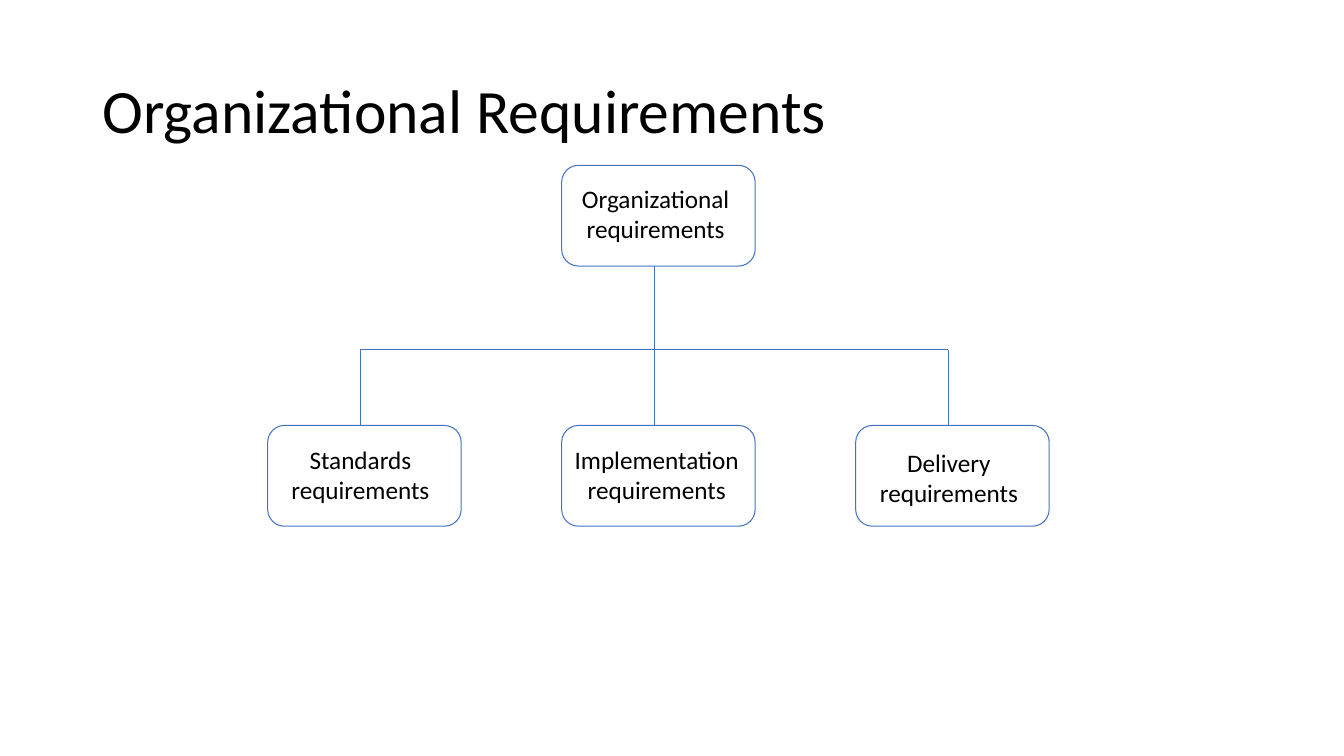
import pptx
import pptx.dml.color
import pptx.enum.shapes
import pptx.enum.text
import pptx.oxml.ns
import pptx.util
from lxml import etree

Pt = pptx.util.Pt
ANCHOR = pptx.enum.text.MSO_ANCHOR
ALIGN = pptx.enum.text.PP_ALIGN
AUTO_SIZE = pptx.enum.text.MSO_AUTO_SIZE

COLORS = {"text": "000000", "line": "4472C4"}

BOX_WIDTH, BOX_HEIGHT = 138.24, 72
FIRST_LEFT, COLUMN_STEP = 191.2, 210
STEM_OFFSET = 66
ROOT_TOP, BAR_TOP, CHILD_TOP = 118.1, 249.9, 303.9

# Column, box top, first label line, then label left, top and width
NODES = [
    (1, ROOT_TOP, "Organizational", 407.5, 127.4, 121.7),
    (0, CHILD_TOP, "Standards", 200.2, 313.9, 114.5),
    (1, CHILD_TOP, "Implementation", 402.5, 313.9, 133.2),
    (2, CHILD_TOP, "Delivery", 620.6, 316.1, 114.5),
]


def color(name):
    return pptx.dml.color.RGBColor.from_string(COLORS[name])


def set_all(target, formats):
    for name, value in formats.items():
        setattr(target, name, value)


class SlideBuilder:
    font_name = "Calibri"
    line_width = 0.75

    def __init__(self, slide):
        self.slide = slide

    def style_line(self, shape):
        shape.line.color.rgb = color("line")
        shape.line.width = Pt(self.line_width)

    def box(self, left, top):
        shape = self.slide.shapes.add_shape(
            pptx.enum.shapes.MSO_SHAPE.ROUNDED_RECTANGLE,
            Pt(left), Pt(top), Pt(BOX_WIDTH), Pt(BOX_HEIGHT))
        shape.shadow.inherit = False
        shape.fill.background()
        self.style_line(shape)

    def connector(self, *ends):
        connector = self.slide.shapes.add_connector(
            pptx.enum.shapes.MSO_CONNECTOR.STRAIGHT, *map(Pt, ends))
        self.style_line(connector)
        etree.SubElement(connector.element.spPr, pptx.oxml.ns.qn("a:effectLst"))

    def text(self, lines, area, size, frame_formats, paragraph_formats):
        shape = self.slide.shapes.add_textbox(*map(Pt, area))
        frame = shape.text_frame
        frame.text = "\n".join(lines)
        set_all(frame, frame_formats)
        for paragraph in frame.paragraphs:
            set_all(paragraph, paragraph_formats)
            set_all(paragraph.font, {"name": self.font_name, "size": Pt(size)})
            paragraph.font.color.rgb = color("text")

    def title(self, wording):
        self.text([wording], (66, 28.8, 828, 104.4), 44,
                  {"word_wrap": True, "vertical_anchor": ANCHOR.MIDDLE},
                  {"line_spacing": 0.9})

    def label(self, first_line, left, top, width):
        self.text([first_line, "requirements"], (left, top, width, 50.9), 18,
                  {"word_wrap": False, "auto_size": AUTO_SIZE.SHAPE_TO_FIT_TEXT},
                  {"alignment": ALIGN.CENTER})


def main():
    presentation = pptx.Presentation()
    presentation.slide_width, presentation.slide_height = Pt(960), Pt(540)
    builder = SlideBuilder(
        presentation.slides.add_slide(presentation.slide_layouts[6]))

    builder.title("Organizational Requirements")
    for column, top, *_ in NODES:
        builder.box(FIRST_LEFT + column * COLUMN_STEP, top)

    stems = [FIRST_LEFT + STEM_OFFSET + column * COLUMN_STEP
             for column in range(3)]
    stem_tops = [BAR_TOP, ROOT_TOP + BOX_HEIGHT, BAR_TOP]
    for stem, top in zip(stems, stem_tops):
        builder.connector(stem, top, stem, CHILD_TOP)
    builder.connector(stems[0], BAR_TOP, stems[-1], BAR_TOP)

    for _, _, *label in NODES:
        builder.label(*label)

    presentation.save("out.pptx")


if __name__ == "__main__":
    main()
